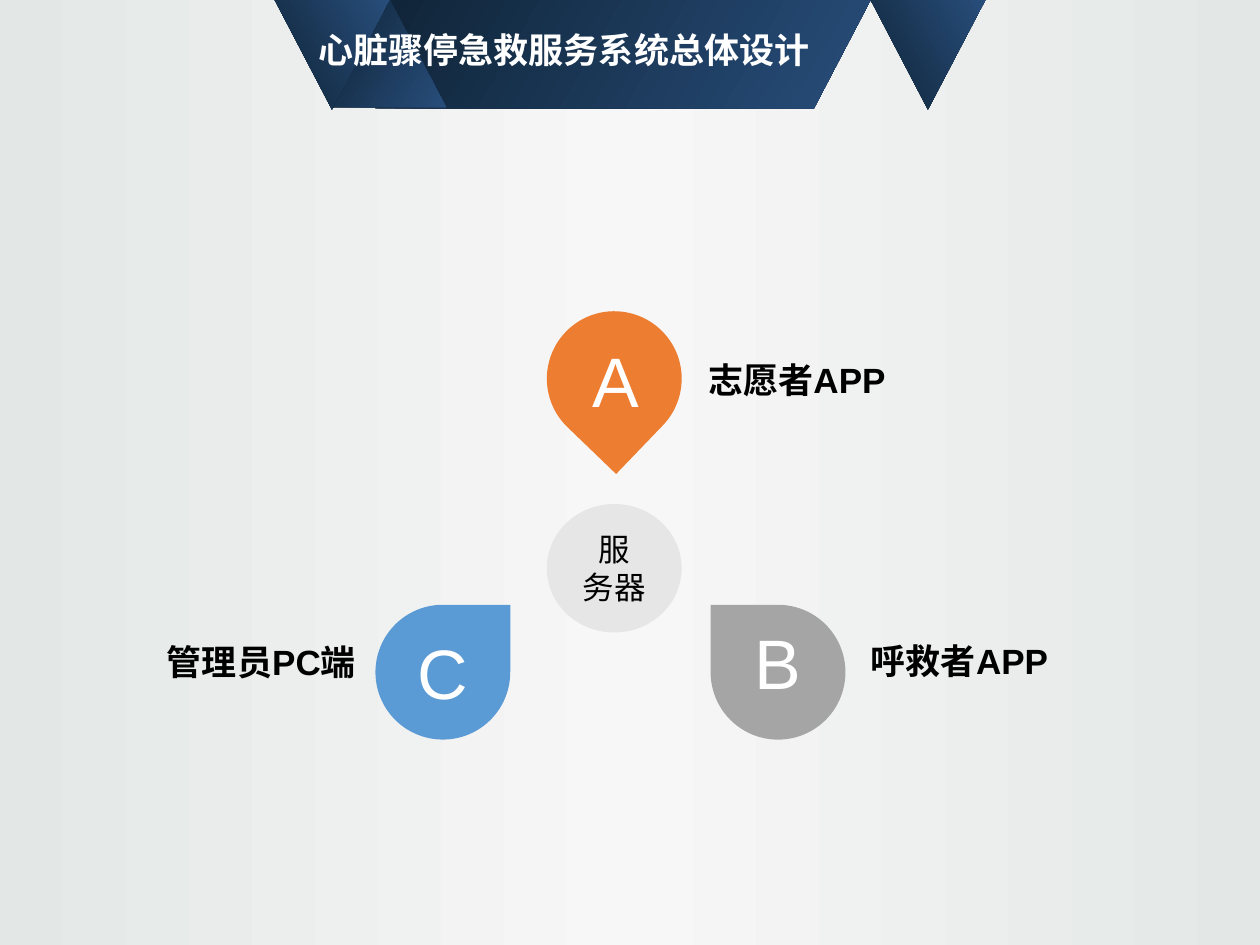
import copy

import pptx
import pptx.util
from pptx.dml.color import RGBColor
from pptx.enum.shapes import MSO_SHAPE
from pptx.enum.text import MSO_ANCHOR, MSO_AUTO_SIZE, PP_ALIGN
from pptx.oxml.ns import qn
from pptx.util import Inches

FONT = "Arial"
WHITE = RGBColor(0xFF, 0xFF, 0xFF)
BLACK = RGBColor(0x00, 0x00, 0x00)
NAVY = RGBColor(0x0F, 0x24, 0x37)
BLUE = RGBColor(0x28, 0x4D, 0x7A)
ORANGE = RGBColor(0xED, 0x7D, 0x31)
GRAY = RGBColor(0xA5, 0xA5, 0xA5)
SKY = RGBColor(0x5B, 0x9B, 0xD5)
PALE = RGBColor(0xE7, 0xE6, 0xE6)
EDGE = RGBColor(0xE3, 0xE7, 0xE5)
CENTER = RGBColor(0xF7, 0xF7, 0xF7)

DROP_SIZE = 1.07


def set_background(slide):
    """Fade from the edge colour to a light centre and back."""
    fill = slide.background.fill
    fill.gradient()
    fill.gradient_angle = 180
    stop_list = slide.element.find(".//" + qn("a:gsLst"))
    stop_list.append(copy.deepcopy(stop_list[0]))
    stops = zip(fill.gradient_stops, (0, 0.5, 1), (EDGE, CENTER, EDGE))
    for stop, position, color in stops:
        stop.position = position
        stop.color.rgb = color


def finish_ribbon(shape):
    shape.shadow.inherit = False
    shape.line.fill.background()
    shape.fill.gradient()
    shape.fill.gradient_angle = 330  # counter-clockwise, so 30 degrees down
    for stop, color in zip(shape.fill.gradient_stops, (NAVY, BLUE)):
        stop.color.rgb = color


def add_banner(slide):
    builder = slide.shapes.build_freeform(Inches(2.98), 0)
    corners = [(6.91, 0), (6.46, 0.86), (2.98, 0.86)]
    builder.add_line_segments([(Inches(x), Inches(y)) for x, y in corners])
    finish_ribbon(builder.convert_to_shape())

    for left, top, flipped in [(2.63, -0.02, False), (2.18, 0, True), (6.91, 0, True)]:
        triangle = slide.shapes.add_shape(
            MSO_SHAPE.ISOSCELES_TRIANGLE,
            Inches(left), Inches(top), Inches(0.91), Inches(0.87))
        if flipped:
            triangle.element.spPr.find(qn("a:xfrm")).set("flipV", "1")
        finish_ribbon(triangle)


def write_text(box, lines, size, color, bold=False, anchor=MSO_ANCHOR.MIDDLE):
    frame = box.text_frame
    frame.word_wrap = True
    frame.auto_size = MSO_AUTO_SIZE.NONE
    frame.vertical_anchor = anchor
    for index, line in enumerate(lines):
        para = frame.add_paragraph() if index else frame.paragraphs[0]
        para.alignment = PP_ALIGN.CENTER
        span = para.add_run()
        span.text = line
        span.font.name = FONT
        span.font.size = pptx.util.Pt(size)
        span.font.bold = bold
        span.font.color.rgb = color


def add_text(slide, left, top, width, height, lines, size, color, **style):
    box = slide.shapes.add_textbox(
        Inches(left), Inches(top), Inches(width), Inches(height))
    write_text(box, lines, size, color, **style)


def add_solid(slide, kind, left, top, width, height, color):
    shape = slide.shapes.add_shape(
        kind, Inches(left), Inches(top), Inches(width), Inches(height))
    shape.shadow.inherit = False
    shape.fill.solid()
    shape.fill.fore_color.rgb = color
    shape.line.fill.background()
    return shape


def add_drop(slide, left, top, rotation, color, letter, letter_left, letter_top):
    drop = add_solid(slide, MSO_SHAPE.TEAR, left, top, DROP_SIZE, DROP_SIZE, color)
    drop.rotation = rotation
    add_text(slide, letter_left, letter_top, 0.81, 0.84, [letter], 40, WHITE)


def add_label(slide, left, top, height, label):
    add_text(slide, left, top, 1.81, height, [label], 20, BLACK, bold=True)


def add_server(slide):
    add_solid(slide, MSO_SHAPE.OVAL, 4.34, 4, DROP_SIZE, 1.02, PALE)
    add_text(slide, 4.38, 4.16, 0.99, 0.7, ["服", "务器"], 18, BLACK,
             anchor=MSO_ANCHOR.TOP)


def place_title(slide):
    title = slide.shapes.title
    title.left, title.top = Inches(2.18), Inches(0.07)
    title.width, title.height = Inches(4.53), Inches(0.68)
    write_text(title, [" 心脏骤停急救服务系统总体设计"], 20, WHITE, bold=True)
    title.text_frame.paragraphs[0].line_spacing = 0.9
    slide.shapes.element.append(title.element)  # bring in front of the banner


def main():
    deck = pptx.Presentation()
    deck.slide_width, deck.slide_height = Inches(10), Inches(7.5)
    slide = deck.slides.add_slide(deck.slide_layouts[5])
    set_background(slide)
    add_banner(slide)
    place_title(slide)

    add_label(slide, 1.17, 5.03, 0.44, "管理员PC端")
    add_label(slide, 6.71, 5.11, 0.27, "呼救者APP")
    add_drop(slide, 5.64, 4.8, 270, GRAY, "B", 5.77, 4.83)
    add_drop(slide, 2.98, 4.8, 0, SKY, "C", 3.11, 4.91)
    add_drop(slide, 4.34, 2.47, 133.9, ORANGE, "A", 4.48, 2.59)
    add_label(slide, 5.42, 2.79, 0.44, "志愿者APP")
    add_server(slide)
    deck.save("out.pptx")


if __name__ == "__main__":
    main()
